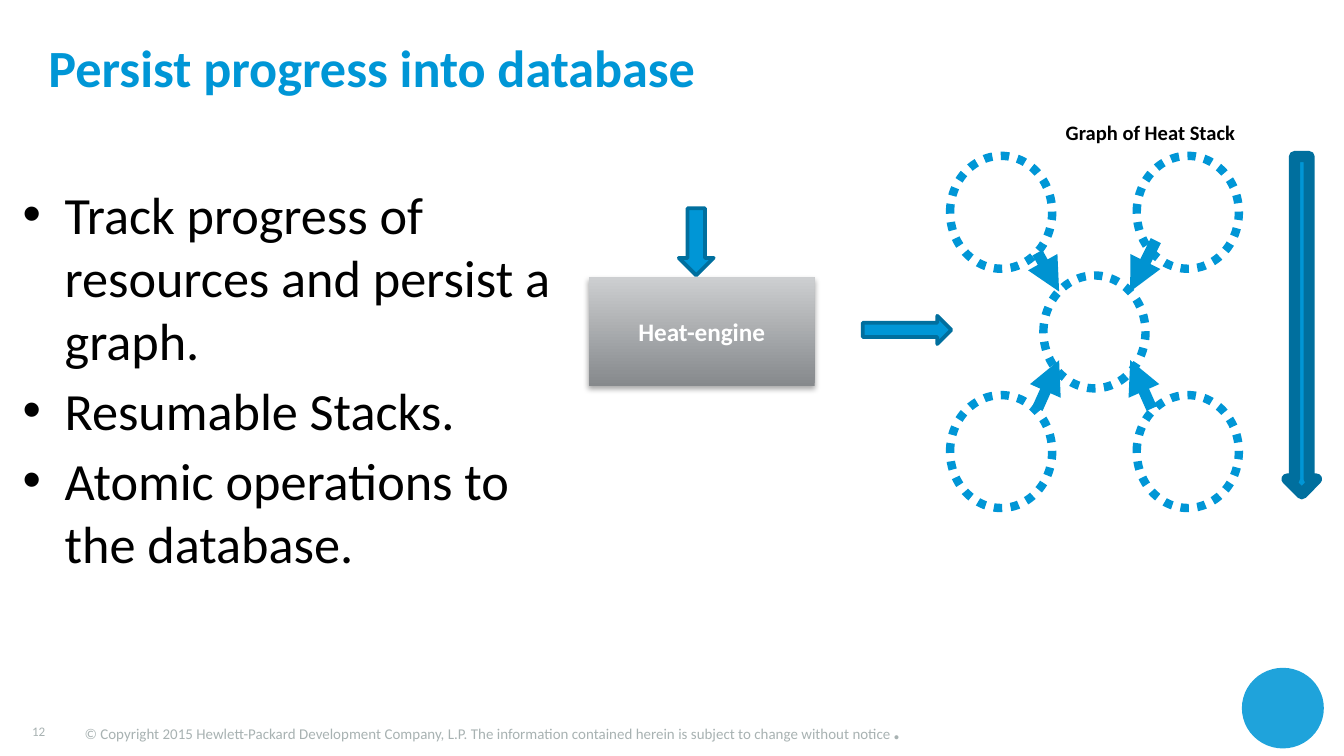
from dataclasses import dataclass

from lxml import etree
from pptx import Presentation
from pptx.dml.color import RGBColor
from pptx.enum.dml import MSO_LINE
from pptx.enum.shapes import MSO_CONNECTOR, MSO_SHAPE
from pptx.enum.text import MSO_ANCHOR, PP_ALIGN
from pptx.oxml.ns import qn
from pptx.shapes.autoshape import Shape
from pptx.slide import Slide
from pptx.text.text import _Paragraph as Paragraph
from pptx.util import Pt

RECTANGLE = MSO_SHAPE.RECTANGLE
OVAL = MSO_SHAPE.OVAL
RIGHT_ARROW = MSO_SHAPE.RIGHT_ARROW
STRAIGHT = MSO_CONNECTOR.STRAIGHT
DOTTED = MSO_LINE.ROUND_DOT
TOP, MIDDLE = MSO_ANCHOR.TOP, MSO_ANCHOR.MIDDLE
CENTER = PP_ALIGN.CENTER


@dataclass(frozen=True)
class Theme:
    font: str = "Calibri"
    accent: str = "0096D6"
    accent_dark: str = "006F9E"
    link: str = "0093D1"
    badge: str = "1FA3DB"
    muted: str = "A8B2B2"
    black: str = "000000"
    white: str = "FFFFFF"
    engine_bottom: str = "86898C"
    engine_top: str = "CDCFD1"
    heading_size: float = 28
    body_size: float = 28
    engine_size: float = 13.5
    label_size: float = 11
    footer_size: float = 8
    footer_stop_size: float = 18
    number_size: float = 7


THEME = Theme()


@dataclass(frozen=True)
class Box:
    left: float
    top: float
    width: float
    height: float

    def lengths(self) -> tuple[Pt, Pt, Pt, Pt]:
        return Pt(self.left), Pt(self.top), Pt(self.width), Pt(self.height)


@dataclass(frozen=True)
class TextStyle:
    size: float
    color: str
    bold: bool = False


@dataclass(frozen=True)
class BlockArrow:
    box: Box
    line_width: float
    rotation: float = 0


@dataclass(frozen=True)
class Link:
    start: tuple[float, float]
    end: tuple[float, float]
    color: str


NODE_LEFT, NODE_TOP = 509, 83.5
NODE_WIDTH, NODE_HEIGHT = 54.7, 60.5
NODE_STEP_X, NODE_STEP_Y = 50, 64.1
NODE_CELLS = [(0, 0), (1, 1), (0, 2), (2, 2), (2, 0)]

LINKS = [
    Link((555.8, 218.9), (567.4, 193), THEME.link),
    Link((617, 218.9), (605.5, 193), THEME.accent),
    Link((619.2, 128.9), (605.5, 156.2), THEME.link),
    Link((555.8, 135.4), (567.4, 156.2), THEME.link),
]

BLOCK_ARROWS = [
    BlockArrow(Box(462.2, 169.2, 47.5, 15.1), 2),
    BlockArrow(Box(607, 166.3, 180.7, 15.8), 6, 90),
    BlockArrow(Box(355, 120.2, 36, 18.7), 2, 90),
]

BULLETS = [
    "Track progress of resources and persist a graph.",
    "Resumable Stacks.",
    "Atomic operations to the database.",
]


def rgb(color: str) -> RGBColor:
    return RGBColor.from_string(color)


def style_paragraph(paragraph: Paragraph, style: TextStyle) -> None:
    font = paragraph.font
    font.name = THEME.font
    font.size = Pt(style.size)
    font.bold = style.bold
    font.color.rgb = rgb(style.color)


def add_text(slide: Slide, box: Box, text: str, style: TextStyle,
             anchor: MSO_ANCHOR = TOP, inset: bool = True) -> Shape:
    shape = slide.shapes.add_textbox(*box.lengths())
    frame = shape.text_frame
    frame.word_wrap = True
    frame.vertical_anchor = anchor
    if not inset:
        frame.margin_left = frame.margin_right = Pt(0)
        frame.margin_top = frame.margin_bottom = Pt(0)
    frame.text = text
    for paragraph in frame.paragraphs:
        style_paragraph(paragraph, style)
    return shape


def add_bullets(slide: Slide, box: Box, items: list[str], style: TextStyle) -> None:
    frame = add_text(slide, box, "", style, inset=False).text_frame
    for index, item in enumerate(items):
        paragraph = frame.add_paragraph() if index else frame.paragraphs[0]
        paragraph.text = item
        paragraph.space_after = Pt(4)
        properties = paragraph._p.get_or_add_pPr()
        properties.set("marL", str(Pt(22.5)))
        properties.set("indent", str(-Pt(22.5)))
        for old in properties.findall(qn("a:defRPr")):
            properties.remove(old)
        etree.SubElement(properties, qn("a:buFont"), typeface="Arial")
        etree.SubElement(properties, qn("a:buChar"), char="•")
        style_paragraph(paragraph, style)


def add_filled_shape(slide: Slide, kind: MSO_SHAPE, box: Box, fill: str) -> Shape:
    """Add a shape with a solid fill, no outline and no shadow."""
    shape = slide.shapes.add_shape(kind, *box.lengths())
    shape.shadow.inherit = False
    shape.fill.solid()
    shape.fill.fore_color.rgb = rgb(fill)
    shape.line.fill.background()
    return shape


def set_outline(shape: Shape, color: str, width: float) -> None:
    shape.line.color.rgb = rgb(color)
    shape.line.width = Pt(width)


def add_engine(slide: Slide) -> None:
    shape = add_filled_shape(slide, RECTANGLE, Box(315.4, 148.3, 121, 58.3),
                             THEME.engine_top)
    shape.fill.gradient()
    shape.fill.gradient_angle = 90
    for stop, color in zip(shape.fill.gradient_stops,
                           (THEME.engine_bottom, THEME.engine_top)):
        stop.color.rgb = rgb(color)
    effects = shape._element.spPr.find(qn("a:effectLst"))
    shadow = etree.SubElement(effects, qn("a:outerShdw"), blurRad=str(Pt(3.1)),
                              dist=str(Pt(1.8)), dir="5400000", rotWithShape="0")
    color = etree.SubElement(shadow, qn("a:srgbClr"), val=THEME.black)
    etree.SubElement(color, qn("a:alpha"), val="35000")
    frame = shape.text_frame
    frame.vertical_anchor = MIDDLE
    frame.text = "Heat-engine"
    paragraph = frame.paragraphs[0]
    paragraph.alignment = CENTER
    style_paragraph(paragraph, TextStyle(THEME.engine_size, THEME.white, True))


def add_node(slide: Slide, column: int, row: int) -> None:
    box = Box(NODE_LEFT + column * NODE_STEP_X, NODE_TOP + row * NODE_STEP_Y,
              NODE_WIDTH, NODE_HEIGHT)
    shape = add_filled_shape(slide, OVAL, box, THEME.white)
    set_outline(shape, THEME.accent, 4.5)
    shape.line.dash_style = DOTTED


def add_link(slide: Slide, link: Link) -> None:
    connector = slide.shapes.add_connector(
        STRAIGHT, *(Pt(value) for value in link.start + link.end))
    connector.line.color.rgb = rgb(link.color)
    connector.line.width = Pt(6)
    etree.SubElement(connector.line._get_or_add_ln(), qn("a:tailEnd"), type="triangle")
    etree.SubElement(connector._element.spPr, qn("a:effectLst"))


def add_block_arrow(slide: Slide, arrow: BlockArrow) -> None:
    shape = add_filled_shape(slide, RIGHT_ARROW, arrow.box, THEME.accent)
    set_outline(shape, THEME.accent_dark, arrow.line_width)
    shape.rotation = arrow.rotation


def add_footer(slide: Slide) -> None:
    copyright_line = add_text(
        slide, Box(38.2, 374.4, 578.9, 29.5),
        "© Copyright 2015 Hewlett-Packard Development Company, L.P. "
        "The information contained herein is subject to change without notice",
        TextStyle(THEME.footer_size, THEME.muted))
    full_stop = copyright_line.text_frame.paragraphs[0].add_run()
    full_stop.text = "."
    full_stop.font.size = Pt(THEME.footer_stop_size)
    add_text(slide, Box(10.1, 385.2, 33.1, 13), "12",
             TextStyle(THEME.number_size, THEME.muted), MIDDLE)
    add_filled_shape(slide, OVAL, Box(665.3, 357.8, 43.9, 43.2), THEME.badge)


def main() -> None:
    presentation = Presentation()
    presentation.slide_width, presentation.slide_height = Pt(720), Pt(405)
    slide = presentation.slides.add_slide(presentation.slide_layouts[6])
    add_text(slide, Box(25.9, 18.7, 639.4, 33.8), "Persist progress into database",
             TextStyle(THEME.heading_size, THEME.accent, True), MIDDLE, inset=False)
    add_footer(slide)
    add_engine(slide)
    for column, row in NODE_CELLS:
        add_node(slide, column, row)
    for link in LINKS:
        add_link(slide, link)
    add_bullets(slide, Box(12.2, 97.8, 299.5, 212), BULLETS,
                TextStyle(THEME.body_size, THEME.black))
    for arrow in BLOCK_ARROWS:
        add_block_arrow(slide, arrow)
    add_text(slide, Box(563.8, 60.5, 126, 20.9), "Graph of Heat Stack",
             TextStyle(THEME.label_size, THEME.black, True))
    presentation.save("out.pptx")


if __name__ == "__main__":
    main()
